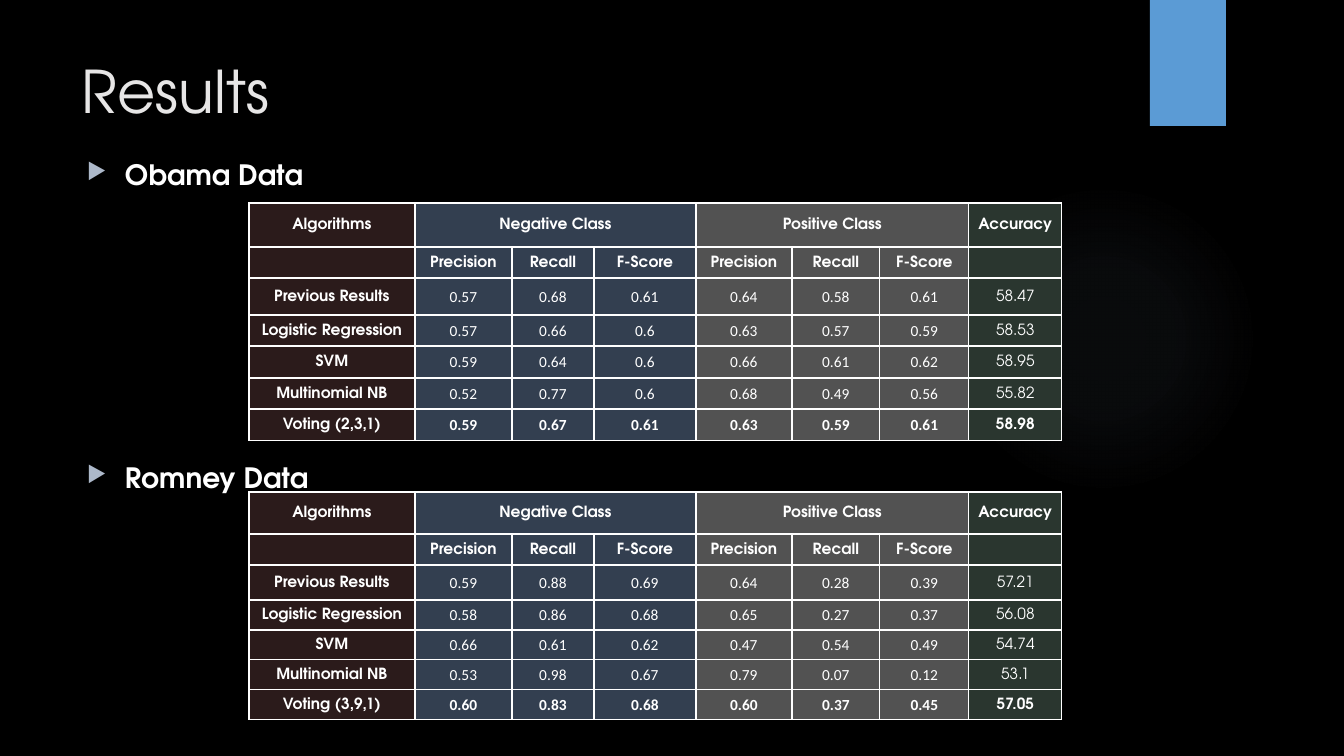
"""Build the Results slide with the Obama and Romney classification tables."""
import dataclasses
import typing

import pptx
import pptx.dml.color
import pptx.enum.shapes
import pptx.enum.text
import pptx.oxml
import pptx.oxml.ns
import pptx.util

SLIDE_SIZE = (1344, 756)
EMU_PER_PX = 12192000 / SLIDE_SIZE[0]
NAMESPACE = pptx.oxml.ns.nsdecls("a")


@dataclasses.dataclass(frozen=True)
class Theme:
    """Colours, fonts and type sizes."""
    background: str = "000000"
    title: str = "E7E6E6"
    text: str = "FFFFFF"
    bullet: str = "ADB9CA"
    tab: str = "5B9BD5"
    glow: str = "8497B0"
    algorithm: str = "2B1B1B"
    negative: str = "333F50"
    positive: str = "525252"
    accuracy: str = "2A362F"
    display_font: str = "TeX Gyre Adventor"
    number_font: str = "Calibri"
    title_size: int = 42
    heading_size: int = 20
    table_size: int = 11


THEME = Theme()
COLUMN_WIDTHS = (166, 97, 82, 102, 96, 88, 89, 93)
COLUMN_FILLS = (THEME.algorithm, *[THEME.negative] * 3, *[THEME.positive] * 3, THEME.accuracy)
SCORES = ("Precision", "Recall", "F-Score")
HEADER = (
    ("Algorithms", "Negative Class", "", "", "Positive Class", "", "", "Accuracy"),
    ("", *SCORES, *SCORES, ""),
)
TABLE_LEFT = 249


@dataclasses.dataclass(frozen=True)
class Dataset:
    """One heading with its table of results."""
    heading: str
    heading_top: int
    table_top: int
    row_heights: tuple[int, ...]
    results: tuple[tuple[str, ...], ...]


DATASETS = (
    Dataset("Obama Data", 154, 203, (44, 31, 37, 31, 32, 31, 32), (
        ("Previous Results", "0.57", "0.68", "0.61", "0.64", "0.58", "0.61", "58.47"),
        ("Logistic Regression", "0.57", "0.66", "0.6", "0.63", "0.57", "0.59", "58.53"),
        ("SVM", "0.59", "0.64", "0.6", "0.66", "0.61", "0.62", "58.95"),
        ("Multinomial NB", "0.52", "0.77", "0.6", "0.68", "0.49", "0.56", "55.82"),
        ("Voting (2,3,1)", "0.59", "0.67", "0.61", "0.63", "0.59", "0.61", "58.98"),
    )),
    Dataset("Romney Data", 457, 492, (42, 31, 35, 30, 30, 30, 30), (
        ("Previous Results", "0.59", "0.88", "0.69", "0.64", "0.28", "0.39", "57.21"),
        ("Logistic Regression", "0.58", "0.86", "0.68", "0.65", "0.27", "0.37", "56.08"),
        ("SVM", "0.66", "0.61", "0.62", "0.47", "0.54", "0.49", "54.74"),
        ("Multinomial NB", "0.53", "0.98", "0.67", "0.79", "0.07", "0.12", "53.1"),
        ("Voting (3,9,1)", "0.60", "0.83", "0.68", "0.60", "0.37", "0.45", "57.05"),
    )),
)


def px(length: int) -> pptx.util.Emu:
    return pptx.util.Emu(round(length * EMU_PER_PX))


def rgb(colour: str) -> pptx.dml.color.RGBColor:
    return pptx.dml.color.RGBColor.from_string(colour)


def add_run(paragraph: typing.Any, words: str, size: int, colour: str, bold: bool = False,
            font: str = THEME.display_font) -> None:
    run = paragraph.add_run()
    run.text = words
    run.font.name = font
    run.font.size = pptx.util.Pt(size)
    run.font.bold = bold
    run.font.color.rgb = rgb(colour)


def add_line(slide: typing.Any, left: int, top: int, width: int, height: int) -> typing.Any:
    frame = slide.shapes.add_textbox(px(left), px(top), px(width), px(height)).text_frame
    frame.word_wrap = True
    frame.vertical_anchor = pptx.enum.text.MSO_ANCHOR.MIDDLE
    frame.margin_left = frame.margin_right = frame.margin_top = frame.margin_bottom = 0
    return frame.paragraphs[0]


def add_bullet(paragraph: typing.Any) -> None:
    properties = paragraph._p.get_or_add_pPr()
    properties.set("marL", str(px(38)))
    properties.set("indent", str(-px(38)))
    for markup in (
        f'<a:buClr {NAMESPACE}><a:srgbClr val="{THEME.bullet}"/></a:buClr>',
        f'<a:buSzPct {NAMESPACE} val="80000"/>',
        f'<a:buChar {NAMESPACE} char="▶"/>',
    ):
        properties.append(pptx.oxml.parse_xml(markup))


def add_plain_shape(slide: typing.Any, kind: typing.Any, left: int, top: int,
                    width: int, height: int) -> typing.Any:
    shape = slide.shapes.add_shape(kind, px(left), px(top), px(width), px(height))
    shape.shadow.inherit = False
    shape.line.fill.background()
    return shape


def add_decoration(slide: typing.Any) -> None:
    kinds = pptx.enum.shapes.MSO_SHAPE
    glow = add_plain_shape(slide, kinds.OVAL, 949, 184, 310, 310)
    glow.fill.background()
    stops = "".join(
        f'<a:gs pos="{place}000"><a:srgbClr val="{THEME.glow}">'
        f'<a:alpha val="{alpha}000"/></a:srgbClr></a:gs>'
        for place, alpha in ((0, 7), (36, 6), (69, 0))
    )
    gradient = pptx.oxml.parse_xml(
        f'<a:gradFill {NAMESPACE}><a:gsLst>{stops}</a:gsLst><a:path path="circle">'
        '<a:fillToRect l="50000" t="50000" r="50000" b="50000"/></a:path></a:gradFill>'
    )
    properties = glow._element.spPr
    properties.replace(properties.find(pptx.oxml.ns.qn("a:noFill")), gradient)
    tab = add_plain_shape(slide, kinds.RECTANGLE, 1150, 0, 76, 126)
    tab.fill.solid()
    tab.fill.fore_color.rgb = rgb(THEME.tab)


def style_cell(cell: typing.Any, fill: str) -> None:
    properties = cell._tc.get_or_add_tcPr()
    for side in "LRTB":
        properties.append(pptx.oxml.parse_xml(
            f'<a:ln{side} {NAMESPACE} w="12700"><a:solidFill>'
            f'<a:srgbClr val="{THEME.text}"/></a:solidFill></a:ln{side}>'
        ))
    cell.fill.solid()
    cell.fill.fore_color.rgb = rgb(fill)
    cell.vertical_anchor = pptx.enum.text.MSO_ANCHOR.MIDDLE
    cell.margin_left = cell.margin_right = cell.margin_top = px(1)
    cell.margin_bottom = 0


def fill_cell(cell: typing.Any, words: str, bold: bool, font: str) -> None:
    paragraph = cell.text_frame.paragraphs[0]
    paragraph.alignment = pptx.enum.text.PP_ALIGN.CENTER
    if words:
        add_run(paragraph, words, THEME.table_size, THEME.text, bold, font)
    else:
        paragraph._p.append(pptx.oxml.parse_xml(
            f'<a:endParaRPr {NAMESPACE} sz="{THEME.table_size * 100}"/>'
        ))


def add_results(slide: typing.Any, dataset: Dataset) -> None:
    rows = HEADER + dataset.results
    table = slide.shapes.add_table(
        len(rows), len(COLUMN_WIDTHS), px(TABLE_LEFT), px(dataset.table_top),
        px(sum(COLUMN_WIDTHS)), px(sum(dataset.row_heights)),
    ).table
    table.first_row = table.horz_banding = False
    for column, width in zip(table.columns, COLUMN_WIDTHS):
        column.width = px(width)
    for row, height in zip(table.rows, dataset.row_heights):
        row.height = px(height)
    for r, row_words in enumerate(rows):
        for c, words in enumerate(row_words):
            is_header = r < len(HEADER)
            bold = is_header or c == 0 or r == len(rows) - 1
            is_score = not is_header and 0 < c < len(row_words) - 1
            font = THEME.number_font if is_score else THEME.display_font
            style_cell(table.cell(r, c), COLUMN_FILLS[c])
            fill_cell(table.cell(r, c), words, bold, font)
    for first in (1, 4):
        table.cell(0, first).merge(table.cell(0, first + 2))


def main() -> None:
    presentation = pptx.Presentation()
    presentation.slide_width, presentation.slide_height = map(px, SLIDE_SIZE)
    slide = presentation.slides.add_slide(presentation.slide_layouts[6])
    slide.background.fill.solid()
    slide.background.fill.fore_color.rgb = rgb(THEME.background)
    add_decoration(slide)
    add_run(add_line(slide, 82, 40, 1017, 100), "Results", THEME.title_size, THEME.title)
    for dataset in DATASETS:
        heading = add_line(slide, 87, dataset.heading_top, 966, 40)
        add_bullet(heading)
        add_run(heading, dataset.heading, THEME.heading_size, THEME.text, bold=True)
        add_results(slide, dataset)
    presentation.save("out.pptx")


if __name__ == "__main__":
    main()
